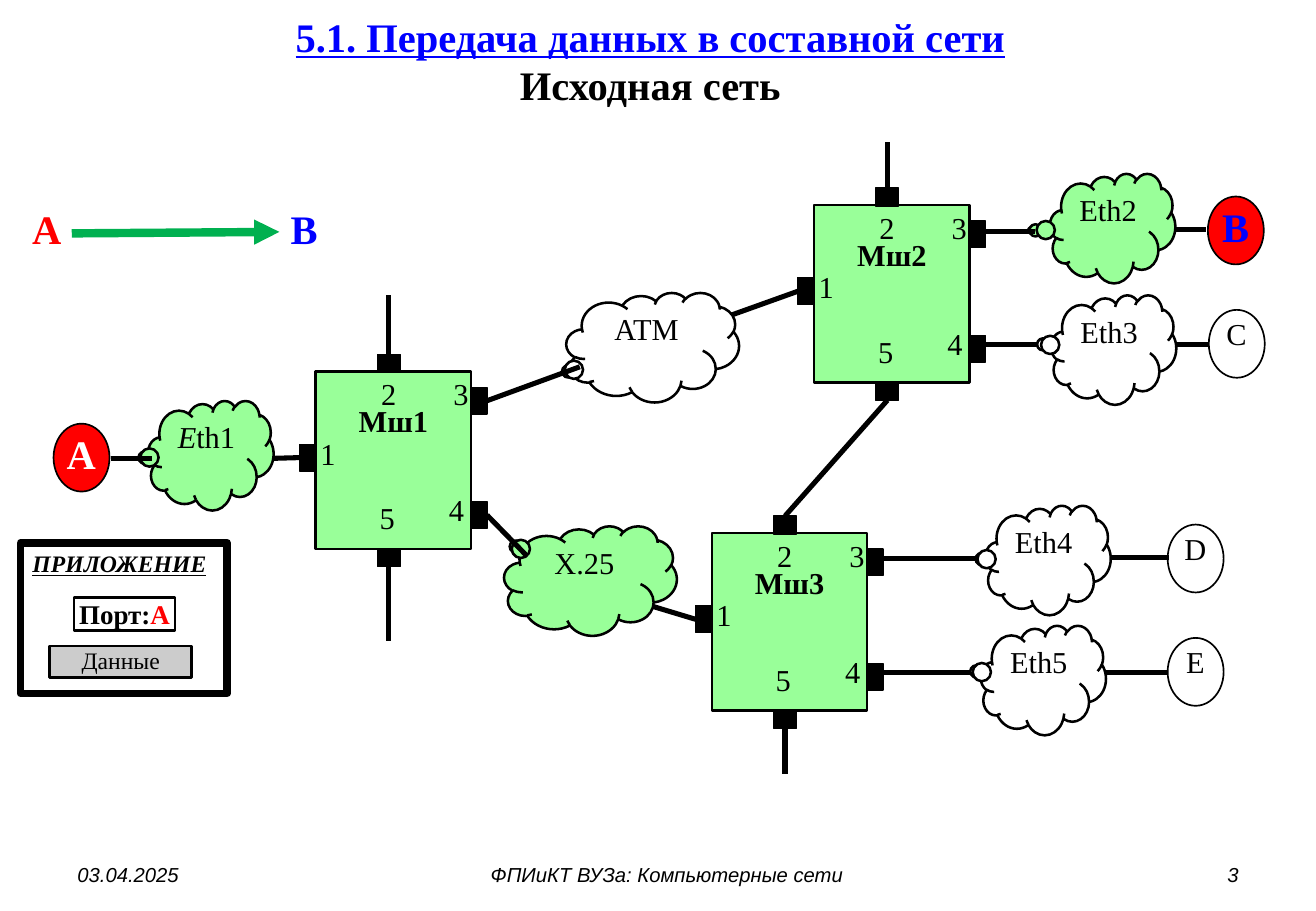
from dataclasses import dataclass

from lxml import etree
from pptx import Presentation
from pptx import util as u
from pptx.dml.color import RGBColor
from pptx.enum import shapes, text
from pptx.oxml import ns


@dataclass(frozen=True)
class Theme:
    """Colours, fonts and type sizes of the slide."""
    black: str = "000000"
    white: str = "FFFFFF"
    red: str = "FF0000"
    blue: str = "0000FF"
    mint: str = "99FF99"
    green: str = "00B050"
    grey: str = "CCCCCC"
    serif: str = "Times New Roman"
    sans: str = "Arial"
    title: int = 24
    label: int = 18
    port: int = 16
    small: int = 14
    footer: int = 12


T = Theme()
KIND = shapes.MSO_SHAPE
LEFT, CENTER, RIGHT = text.PP_ALIGN.LEFT, text.PP_ALIGN.CENTER, text.PP_ALIGN.RIGHT
NO_INSET = (0, 0, 0, 0)
SLIM_INSET = (0.05, 0, 0.05, 0)
DEFAULT_INSET = (0.25, 0.13, 0.25, 0.13)

ROUTERS = {"Мш1": (6.6, 7.77), "Мш2": (17.02, 4.29), "Мш3": (14.88, 11.15)}
PORT_BOXES = {
    1: (-0.34, 1.52, 0.33, 0.56),
    2: (1.29, -0.36, 0.48, 0.38),
    3: (3.25, 0.33, 0.33, 0.56),
    4: (3.25, 2.72, 0.33, 0.56),
    5: (1.29, 3.7, 0.48, 0.38),
}
PORT_LABELS = {1: (-0.05, 1.32), 2: (1.22, 0.08), 3: (2.73, 0.08), 4: (2.64, 2.51), 5: (1.19, 2.67)}
PORT_SITES = {1: 1, 2: 0, 3: 3, 4: 3, 5: 2}

HOSTS = [
    ("А", 1.12, 8.86, T.red, T.white),
    ("B", 25.25, 4.11, T.red, T.blue),
    ("C", 25.27, 6.48, T.white, T.black),
    ("D", 24.41, 10.97, T.white, T.black),
    ("E", 24.41, 13.34, T.white, T.black),
]
CLOUDS = [
    ("ATM", 11.84, 6.12, 3.61, T.white, (-0.49, 0.22)),
    ("Eth1", 3.1, 8.38, 2.62, T.mint, (-0.52, 0.02)),
    ("Х.25", 10.54, 11, 3.61, T.mint, (-0.43, -0.31)),
    ("Eth2", 21.95, 3.63, 2.62, T.mint, (-0.65, 0.02)),
    ("Eth3", 21.97, 6.17, 2.62, T.white, (-0.57, -0.05)),
    ("Eth4", 20.6, 10.57, 2.62, T.white, (-0.52, -0.01)),
    ("Eth5", 20.5, 13.08, 2.62, T.white, (-0.53, -0.08)),
]
BACK_LINKS = [
    ((13.28, 12.57), ("Мш3", 1)),
    ((5.16, 9.6), ("Мш1", 1)),
    ((14.81, 6.76), ("Мш2", 1)),
    (("Мш2", 5), ("Мш3", 2)),
    (("Мш1", 2), (8.13, 6.17)),
    (("Мш1", 5), (8.13, 13.41)),
    (("Мш2", 2), (18.55, 2.97)),
    (("Мш3", 5), (16.41, 16.18)),
    ((18.29, 11.68), (20.78, 11.68)),
    ((23.06, 11.66), (24.43, 11.66)),
    ((18.26, 14.07), (20.7, 14.07)),
    ((22.96, 14.07), (24.41, 14.07)),
    ((24.36, 4.8), (25.22, 4.8)),
    ((20.45, 7.21), (21.95, 7.21)),
    ((24.23, 7.21), (25.25, 7.21)),
]
FRONT_LINKS = [
    (("Мш1", 3), (12.12, 7.67)),
    ((2.31, 9.58), (3.18, 9.58)),
    (("Мш1", 4), (11, 11.61)),
    ((20.47, 4.85), (21.64, 4.85)),
]


def font(size=T.label, color=T.black, name=T.serif, **more):
    """Return a format dict for a run."""
    return {"size": u.Pt(size), "color": color, "name": name, **more}


def write(sp, runs, align=CENTER, inset=NO_INSET, anchor=text.MSO_ANCHOR.TOP):
    """Fill a shape with one paragraph of (text, format) runs."""
    tf = sp.text_frame
    sides = dict(zip(("margin_left", "margin_top", "margin_right", "margin_bottom"), map(u.Cm, inset)))
    for key, value in {**sides, "word_wrap": True, "vertical_anchor": anchor}.items():
        setattr(tf, key, value)
    p = tf.paragraphs[0]
    p.alignment = align
    for i, (words, fmt) in enumerate(runs):
        if words == "\n":
            p.add_line_break()
            continue
        r = p.add_run()
        r.text = words
        for key, value in fmt.items():
            if key == "color":
                r.font.color.rgb = RGBColor.from_string(value)
            else:
                setattr(r.font, key, value)


def add_label(s, box, runs, **layout):
    """Add a text box."""
    sp = s.shapes.add_textbox(*map(u.Cm, box))
    write(sp, runs, **layout)


def add_figure(s, kind, box, fill=None, weight=1.5):
    """Add a black-outlined preset shape."""
    sp = s.shapes.add_shape(kind, *map(u.Cm, box))
    sp.shadow.inherit = False
    if fill:
        sp.fill.solid()
        sp.fill.fore_color.rgb = RGBColor.from_string(fill)
    else:
        sp.fill.background()
    sp.line.color.rgb = RGBColor.from_string(T.black)
    sp.line.width = u.Pt(weight)
    return sp


def add_line(s, start, end, ports=None, color=T.black, weight=3):
    """Add a line whose ends are points or (router, port) pairs."""
    points = [(0, 0) if isinstance(e[0], str) else e for e in (start, end)]
    c = s.shapes.add_connector(shapes.MSO_CONNECTOR.STRAIGHT, *map(u.Cm, points[0] + points[1]))
    for e, join in ((start, c.begin_connect), (end, c.end_connect)):
        if isinstance(e[0], str):
            join(ports[e], PORT_SITES[e[1]])
    c.line.color.rgb = RGBColor.from_string(color)
    c.line.width = u.Pt(weight)
    etree.SubElement(c._element.spPr, ns.qn("a:effectLst"))
    return c


def add_arrow(s, start, end):
    """Add the green arrow from sender to receiver."""
    c = add_line(s, start, end, color=T.green, weight=5)
    etree.SubElement(c.line._get_or_add_ln(), ns.qn("a:tailEnd"), type="triangle")


def add_router(s, name, x, y):
    """Add a router with numbered ports and return the ports."""
    sp = add_figure(s, KIND.RECTANGLE, (x, y, 3.25, 3.71), T.mint)
    write(sp, [(name, font(bold=True))], inset=(0.05, 0.64, 0.05, 0.03))
    ports = {}
    for number, (dx, dy, w, h) in PORT_BOXES.items():
        ports[name, number] = add_figure(s, KIND.RECTANGLE, (x + dx, y + dy, w, h), T.black, 0.75)
        lx, ly = PORT_LABELS[number]
        add_label(s, (x + lx, y + ly, 0.61, 1.02), [(str(number), font())])
    return ports


def add_host(s, name, x, y, fill, color):
    """Add a host circle with its letter."""
    add_figure(s, KIND.OVAL, (x, y, 1.17, 1.42), fill, 1)
    fmt = font(T.title, color, bold=True) if fill == T.red else font(color=color)
    add_label(s, (x + 0.06, y + 0.11, 1.04, 1.17), [(name, fmt)])


def add_cloud(s, name, x, y, w, fill, tail):
    """Add a network cloud."""
    sp = add_figure(s, KIND.CLOUD_CALLOUT, (x, y, w, 2.29), fill)
    for i, value in enumerate(tail):
        sp.adjustments[i] = value
    runs = [("E", font(italic=True)), ("th1", font())] if name == "Eth1" else [(name, font())]
    write(sp, runs, inset=(0.05, 0.03, 0.05, 0.03))


def add_application(s):
    """Add the application panel with its port and data."""
    sp = add_figure(s, KIND.RECTANGLE, (0.43, 11.35, 4.32, 3.15), weight=4.5)
    heading = font(T.small, bold=True, italic=True, underline=True)
    write(sp, [("ПРИЛОЖЕНИЕ", heading)], align=LEFT, inset=DEFAULT_INSET)
    sp = add_figure(s, KIND.RECTANGLE, (1.04, 13.51, 2.97, 0.66), T.grey)
    write(sp, [("Данные", font(T.small))], inset=SLIM_INSET)
    sp = add_figure(s, KIND.RECTANGLE, (1.55, 12.5, 2.11, 0.69), T.white)
    port = [("Порт:", font(T.port, bold=True)), ("А", font(T.port, T.red, bold=True))]
    write(sp, port, inset=SLIM_INSET)


def main():
    """Build the slide and save it."""
    prs = Presentation()
    prs.slide_width, prs.slide_height = u.Cm(27.51), u.Cm(19.05)
    s = prs.slides.add_slide(prs.slide_layouts[6])
    title = [("5.1. Передача данных в составной сети", font(T.title, T.blue, bold=True, underline=True)),
             ("\n", {}), ("Исходная сеть", font(T.title, bold=True))]
    add_label(s, (2.95, 0.13, 21.29, 2.26), title, inset=DEFAULT_INSET, anchor=text.MSO_ANCHOR.MIDDLE)
    ports = {}
    for name, (x, y) in ROUTERS.items():
        ports.update(add_router(s, name, x, y))
    for host in HOSTS:
        add_host(s, *host)
    for start, end in BACK_LINKS:
        add_line(s, start, end, ports)
    for cloud in CLOUDS:
        add_cloud(s, *cloud)
    for start, end in FRONT_LINKS:
        add_line(s, start, end, ports)
    for words, x, w, align in (("03.04.2025", 1.37, 6.43, LEFT),
                               ("ФПИиКТ ВУЗа: Компьютерные сети", 8.51, 10.87, CENTER),
                               ("3", 19.71, 6.43, RIGHT)):
        add_label(s, (x, 17.91, w, 0.76), [(words, font(T.footer, name=T.sans, italic=True))],
                  align=align, inset=DEFAULT_INSET)
    for words, x, color in (("А", 0.46, T.red), ("B", 5.84, T.blue)):
        add_label(s, (x, 4.27, 1.04, 1.17), [(words, font(T.title, color, bold=True))])
    add_arrow(s, (1.5, 4.88), (5.84, 4.85))
    add_application(s)
    prs.save("out.pptx")


if __name__ == "__main__":
    main()
